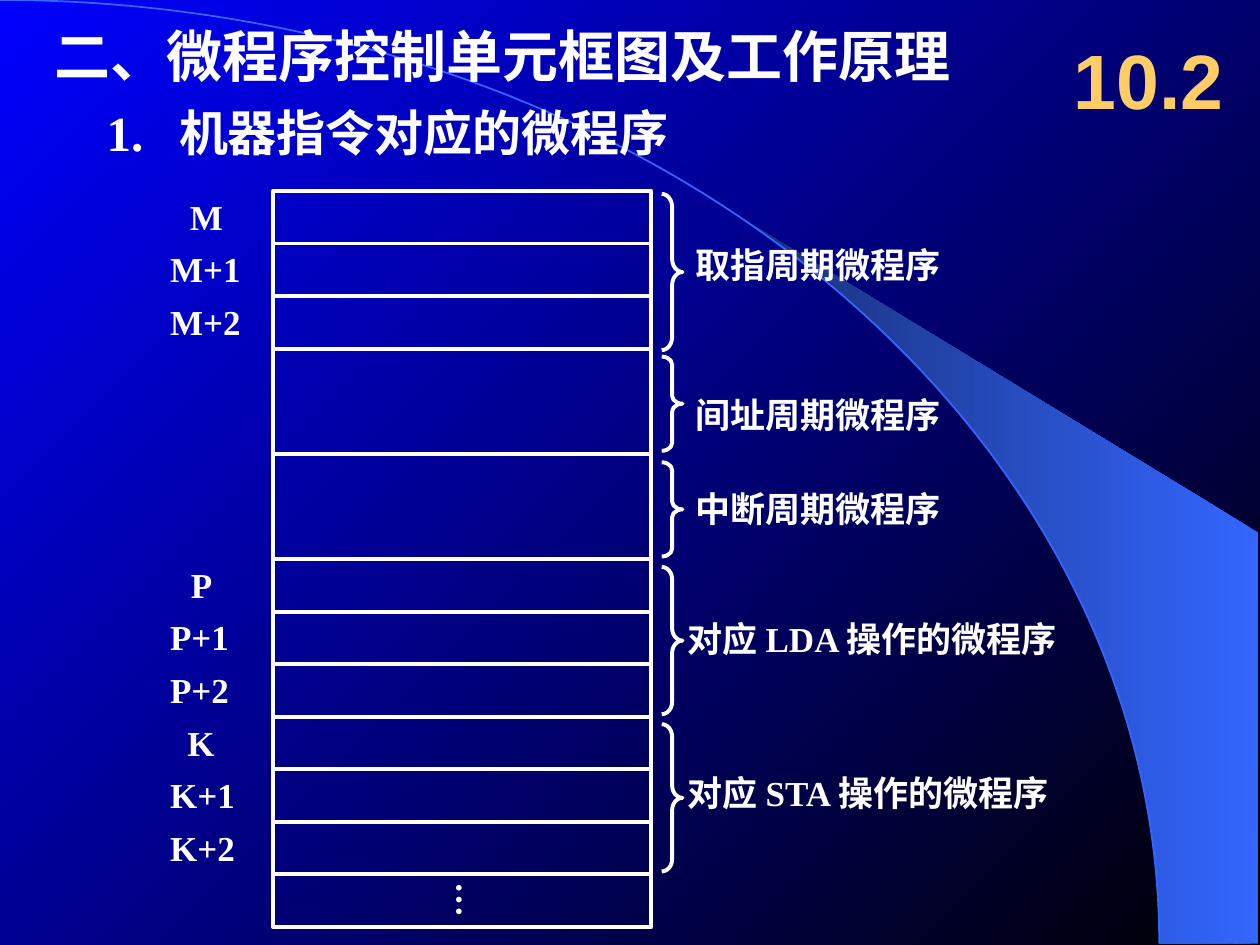
from math import cos, radians, sin

from lxml import etree
from pptx import Presentation
from pptx.dml.color import RGBColor
from pptx.enum.shapes import MSO_CONNECTOR, MSO_SHAPE
from pptx.enum.text import MSO_ANCHOR, MSO_AUTO_SIZE
from pptx.oxml.ns import qn
from pptx.util import Cm, Pt

LINE = MSO_CONNECTOR.STRAIGHT
RECT = MSO_SHAPE.RECTANGLE
BRACE = MSO_SHAPE.RIGHT_BRACE
ARC = MSO_SHAPE.ARC
MIDDLE = MSO_ANCHOR.MIDDLE
GROW = MSO_AUTO_SIZE.SHAPE_TO_FIT_TEXT
FIXED = MSO_AUTO_SIZE.NONE
WHITE = "FFFFFF"
BLUE = "3366FF"


def paint(color, code):
    color.rgb = RGBColor.from_string(code)


def write(text, left, top, width, height, size=20, wrap=False,
          face="Times New Roman", code=WHITE, tab=None):
    box = slide.shapes.add_textbox(Cm(left), Cm(top), Cm(width), Cm(height))
    frame = box.text_frame
    frame.word_wrap = wrap
    frame.auto_size = GROW
    frame.text = text
    para = frame.paragraphs[0]
    if tab:
        tabs = etree.SubElement(para._p.get_or_add_pPr(), qn("a:tabLst"))
        etree.SubElement(tabs, qn("a:tab"), pos=str(Cm(tab)), algn="l")
    for run in para.runs:
        run.font.name = face
        run.font.size = Pt(size)
        run.font.bold = True
        paint(run.font.color, code)
    return frame


deck = Presentation()
deck.slide_width = Cm(25.4)
deck.slide_height = Cm(19.05)
slide = deck.slides.add_slide(deck.slide_layouts[6])

back = slide.background.fill
back.gradient()
back.gradient_angle = 135
paint(back.gradient_stops[0].color, "000000")
paint(back.gradient_stops[1].color, "0000FF")

wide, high = 23.37, 19.02
curve = []
for step in range(26):
    angle = radians(39.8 + step * 50.2 / 25)
    curve.append((Cm(wide * sin(angle)), Cm(high * (1 - cos(angle)))))
ends = [(Cm(25.37), Cm(high)), (Cm(25.37), Cm(10.74))]
build = slide.shapes.build_freeform(*curve[0])
build.add_line_segments(curve[1:] + ends, close=True)
beam = build.convert_to_shape()
beam.shadow.inherit = False
beam.line.fill.background()
beam.fill.gradient()
beam.fill.gradient_angle = 180
paint(beam.fill.gradient_stops[0].color, BLUE)
paint(beam.fill.gradient_stops[1].color, "172F75")

arc = slide.shapes.add_shape(ARC, Cm(-wide), Cm(0), Cm(2 * wide), Cm(2 * high))
arc.shadow.inherit = False
arc.fill.background()
paint(arc.line.color, BLUE)
arc.line.width = Pt(1)

write("二、微程序控制单元框图及工作原理", 0.84, 0.3, 20.32, 1.63, 32, True)
write("1.\t机器指令对应的微程序", 1.9, 1.94, 13.54, 1.45, 28, True, tab=1.46)

left, top, span, pitch = 5.51, 3.85, 7.62, 1.06
right = left + span
shapes = []
for row in [0, 1, 2, 7, 8, 9, 10, 11, 12, 13]:
    shapes.append(slide.shapes.add_shape(
        RECT, Cm(left), Cm(top + row * pitch), Cm(span), Cm(pitch)))

for x1, row1, x2, row2 in [
    (left, 3, left, 7),
    (right, 3, right, 7),
    (left, 5, right, 5),
]:
    edge = slide.shapes.add_connector(
        LINE, Cm(x1), Cm(top + row1 * pitch), Cm(x2), Cm(top + row2 * pitch))
    paint(edge.line.color, WHITE)
    edge.line.width = Pt(2.25)
    etree.SubElement(edge._element.spPr, qn("a:effectLst"))

for name, first, indent, size, long in [
    ("M", 0, 3.58, 1.17, 1.95),
    ("P", 7, 3.6, 0.96, 1.75),
    ("K", 10, 3.53, 1.06, 1.9),
]:
    for step in range(3):
        y = top + (first + step) * pitch - 0.04
        if step:
            write(f"{name}+{step}", 3.18, y, long, 1.12)
        else:
            write(name, indent, y, size, 1.12)

dots = write("…", 8.69, 17.55, 1.35, 0.97)
dots.margin_left = dots.margin_right = Cm(0.13)
dots.margin_top = dots.margin_bottom = Cm(0.25)
dots._txBody.bodyPr.set("vert", "eaVert")

girth = 0.42
for text, y, tall, x, down, size in [
    ("取指周期微程序", 3.91, 3.15, 13.77, 4.78, 5.46),
    ("间址周期微程序", 7.19, 1.9, 13.77, 7.8, 5.46),
    ("中断周期微程序", 9.32, 1.9, 13.77, 9.7, 5.46),
    ("对应 LDA 操作的微程序", 11.43, 2.97, 13.61, 12.32, 8.33),
    ("对应 STA 操作的微程序", 14.6, 2.97, 13.61, 15.42, 8.2),
]:
    brace = slide.shapes.add_shape(BRACE, Cm(13.34), Cm(y), Cm(girth), Cm(tall))
    brace.adjustments[0] = tall / 12 / girth
    shapes.append(brace)
    write(text, x, down, size, 1.12)

for shape in shapes:
    shape.shadow.inherit = False
    shape.fill.background()
    paint(shape.line.color, WHITE)
    shape.line.width = Pt(2.25)

mark = write("10.2", 21.39, 0.42, 4.01, 2.34, 44, True, "Arial", "FFCC66")
mark.auto_size = FIXED
mark.vertical_anchor = MIDDLE

deck.save("out.pptx")
